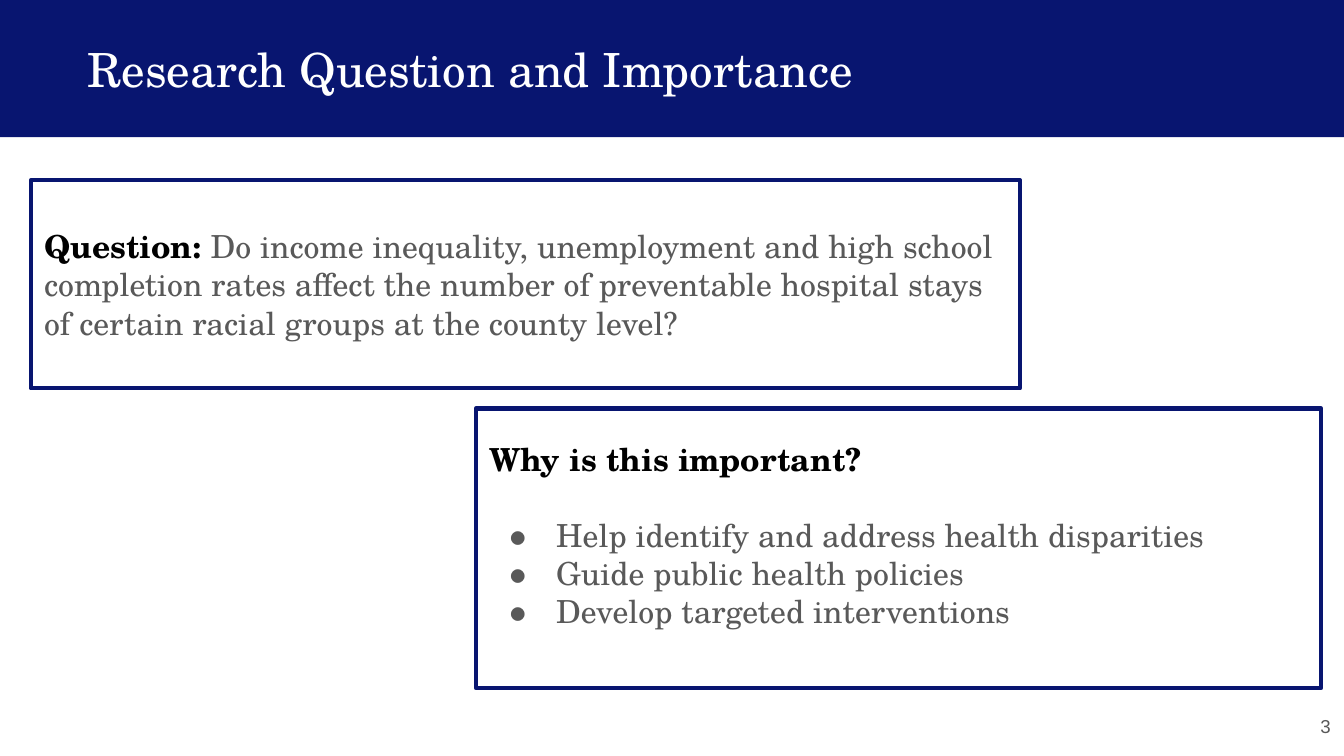
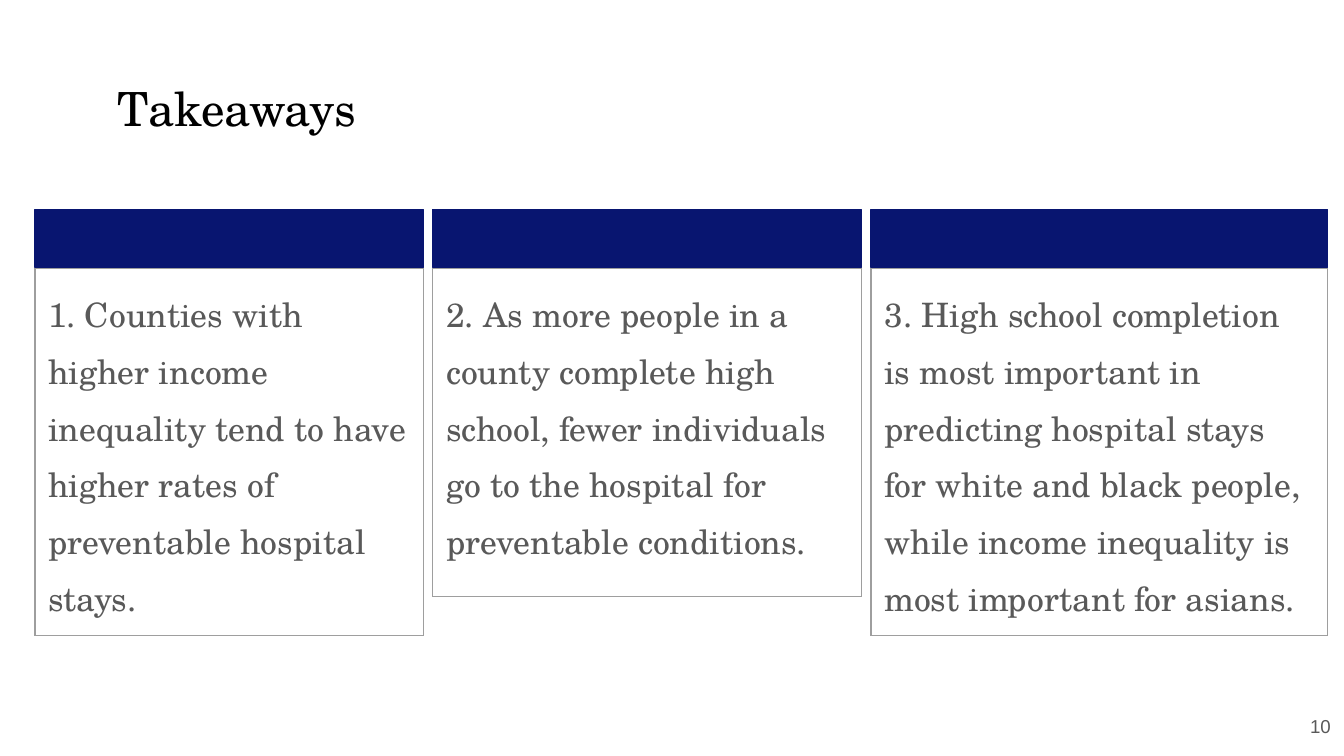
from lxml import etree
from pptx import Presentation
from pptx import util as u
from pptx.dml.color import RGBColor
from pptx.enum import shapes, text
from pptx.oxml.ns import qn

COLORS = {"navy": "081570", "white": "FFFFFF", "black": "000000",
          "body": "595959", "border": "9E9E9E"}
SERIF, SANS = "TeX Gyre Schola", "Arial"
CELL = 0.1  # inches; the slide is 100 columns by 56.25 rows
COLUMNS, ROWS = 100, 56.25


def grid(count):
    return u.Inches(count * CELL)


def rgb(name):
    return RGBColor.from_string(COLORS[name])


def apply(target, values):
    for name, value in values.items():
        setattr(target, name, value)


class Deck:
    """Holds the style and the slide being built."""

    def __init__(self):
        self.presentation = Presentation()
        apply(self.presentation, {"slide_width": grid(COLUMNS),
                                  "slide_height": grid(ROWS)})
        self.slide = None

    def new_slide(self, number):
        self.slide = self.presentation.slides.add_slide(
            self.presentation.slide_layouts[6])
        self.label((94, 51.9, 6, 4.3), str(number),
                   {"size": 10, "font": SANS, "color": "body"},
                   text.MSO_ANCHOR.MIDDLE, {"alignment": text.PP_ALIGN.RIGHT})

    def pad(self, target, bottom=1):
        apply(target, {"margin_left": grid(1), "margin_right": grid(1),
                       "margin_top": grid(1), "margin_bottom": grid(bottom)})

    def frame(self, text_frame, anchor, bottom=1):
        apply(text_frame, {"word_wrap": True, "vertical_anchor": anchor})
        self.pad(text_frame, bottom)

    def run(self, paragraph, words, size, color, font=SERIF, bold=False):
        run = paragraph.add_run()
        run.text = words
        apply(run.font, {"size": u.Pt(size), "name": font, "bold": bold})
        run.font.color.rgb = rgb(color)

    def bullet(self, paragraph):
        properties = paragraph._p.get_or_add_pPr()
        properties.set("marL", str(grid(5)))
        properties.set("indent", str(-grid(3.7)))
        color = etree.SubElement(properties, qn("a:buClr"))
        etree.SubElement(color, qn("a:srgbClr"), val=COLORS["body"])
        etree.SubElement(properties, qn("a:buFont"), typeface=SERIF)
        etree.SubElement(properties, qn("a:buChar"), char="●")

    def label(self, place, words, style, anchor=text.MSO_ANCHOR.TOP, layout=None):
        shape = self.slide.shapes.add_textbox(*map(grid, place))
        self.frame(shape.text_frame, anchor)
        paragraph = shape.text_frame.paragraphs[0]
        apply(paragraph, layout or {})
        self.run(paragraph, words, **style)

    def title(self, place, words, color):
        self.label(place, words, {"size": 25.2, "color": color})

    def rectangle(self, place, fill, line=None, weight=0.75):
        shape = self.slide.shapes.add_shape(
            shapes.MSO_SHAPE.RECTANGLE, *map(grid, place))
        shape.shadow.inherit = False
        shape.fill.solid()
        shape.fill.fore_color.rgb = rgb(fill)
        if line:
            shape.line.color.rgb = rgb(line)
            shape.line.width = u.Pt(weight)
        else:
            shape.line.fill.background()
        return shape

    def panel(self, place, heading, body="", bullets=(), bottom=1):
        """Outlined box: bold heading, then running text or bullets."""
        text_frame = self.rectangle(place, "white", "navy", 2.25).text_frame
        self.frame(text_frame, text.MSO_ANCHOR.MIDDLE, bottom)
        paragraph = text_frame.paragraphs[0]
        apply(paragraph, {"alignment": text.PP_ALIGN.LEFT,
                          "space_after": u.Pt(20.5 if bullets else 12)})
        self.run(paragraph, heading, 17, "black", bold=True)
        if body:
            self.run(paragraph, body, 17, "body")
        for words in bullets:
            paragraph = text_frame.add_paragraph()
            paragraph.alignment = text.PP_ALIGN.LEFT
            self.bullet(paragraph)
            self.run(paragraph, words, 17, "body")

    def border(self, cell):
        properties = cell._tc.get_or_add_tcPr()
        for index, side in enumerate(("lnL", "lnR", "lnT", "lnB")):
            line = etree.Element(qn(f"a:{side}"), w=str(u.Pt(0.75)))
            fill = etree.SubElement(line, qn("a:solidFill"))
            etree.SubElement(fill, qn("a:srgbClr"), val=COLORS["border"])
            properties.insert(index, line)

    def card(self, place, words):
        """One-cell table with a thin border."""
        table = self.slide.shapes.add_table(1, 1, *map(grid, place)).table
        apply(table, {"first_row": False, "horz_banding": False})
        cell = table.cell(0, 0)
        cell.fill.background()
        self.border(cell)
        self.pad(cell)
        paragraph = cell.text_frame.paragraphs[0]
        apply(paragraph, {"line_spacing": 1.15, "space_before": u.Pt(12),
                          "space_after": u.Pt(12)})
        self.run(paragraph, words, 18, "body")


def research_question(deck):
    deck.new_slide(3)
    deck.rectangle((0, 0, COLUMNS, 10.2), "navy")
    deck.title((5.5, 2, 79.7, 6.3), "Research Question and Importance", "white")
    deck.panel((2.3, 13.4, 73.6, 15.5), "Question: ",
               "Do income inequality, unemployment and high school completion "
               "rates affect the number of preventable hospital stays of "
               "certain racial groups at the county level?")
    deck.panel((35.4, 30.4, 62.9, 20.8), "Why is this important?",
               bullets=("Help identify and address health disparities",
                        "Guide public health policies",
                        "Develop targeted interventions"), bottom=3)


def takeaways(deck):
    deck.new_slide(10)
    deck.title((7.8, 4.9, 84.4, 6.3), "Takeaways", "black")
    five_lines, six_lines = 24.4, 27.3
    cards = (
        (28.9, six_lines,
         "1. Counties with higher income inequality tend to have higher "
         "rates of preventable hospital stays."),
        (31.9, five_lines,
         "2. As more people in a county complete high school, fewer "
         "individuals go to the hospital for preventable conditions."),
        (34, six_lines,
         "3. High school completion is most important in predicting "
         "hospital stays for white and black people, while income "
         "inequality is most important for asians."),
    )
    left, gap = 2.6, 0.7
    for width, height, words in cards:
        deck.card((left, 20, width, height), words)
        deck.rectangle((left, 15.6, width, 4.3), "navy", "navy")
        left += width + gap


def main():
    deck = Deck()
    research_question(deck)
    takeaways(deck)
    deck.presentation.save("out.pptx")


if __name__ == "__main__":
    main()
